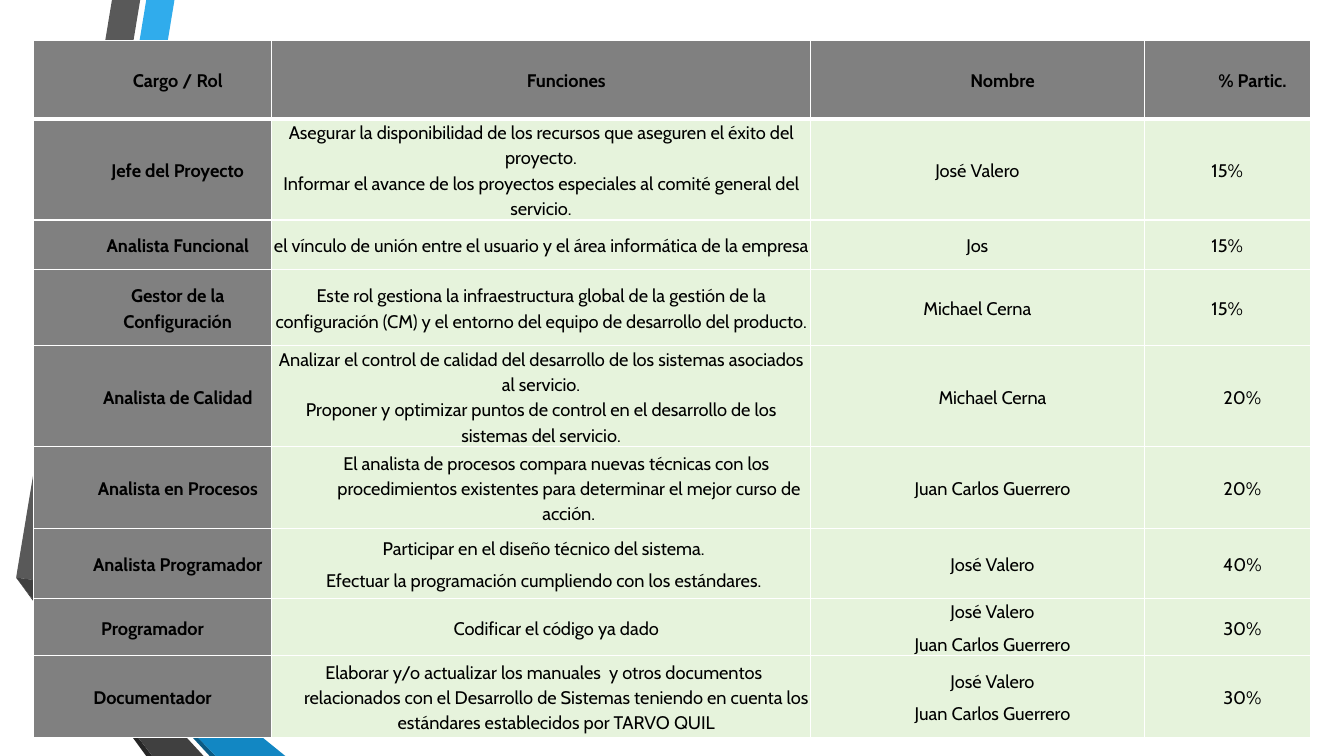
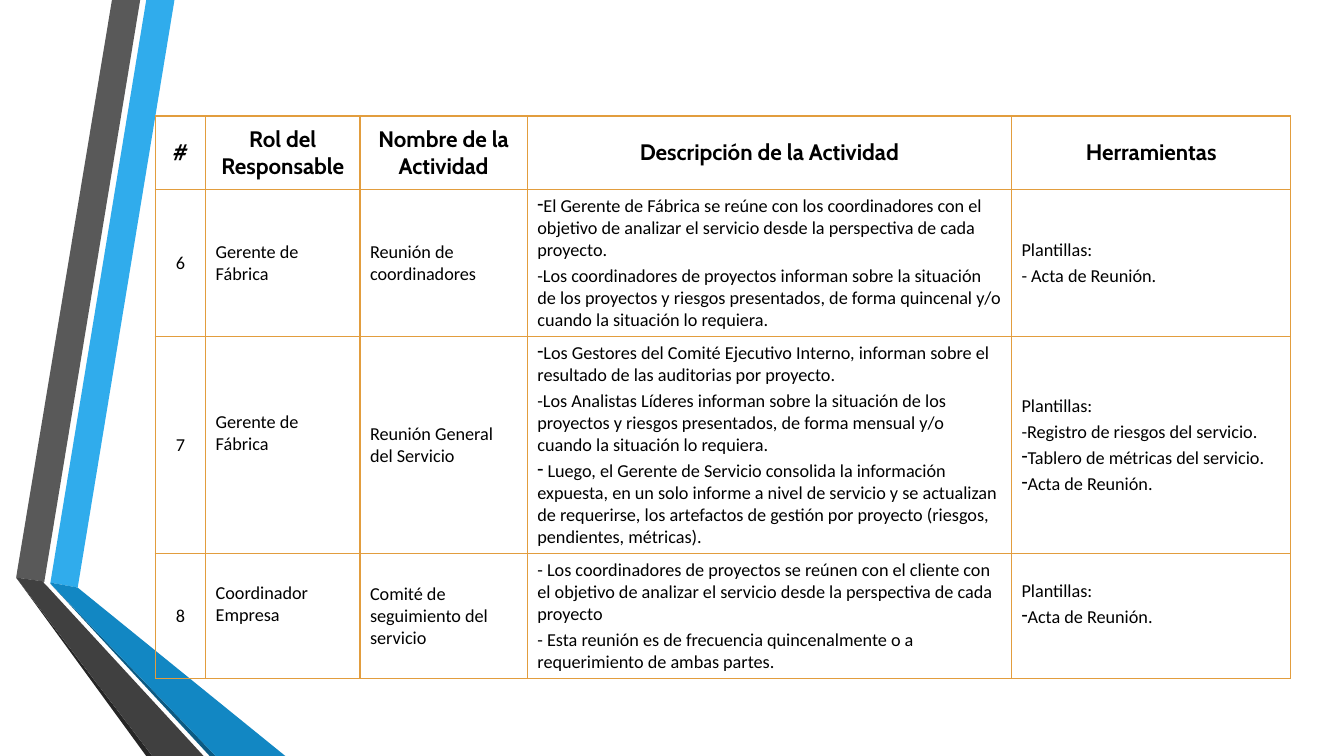
from dataclasses import asdict, dataclass, replace
from typing import NamedTuple

from lxml.etree import SubElement
from pptx import Presentation
from pptx.dml.color import RGBColor
from pptx.enum.text import MSO_ANCHOR, PP_ALIGN
from pptx.oxml.ns import qn
from pptx.util import Inches, Pt

WIDTH, HEIGHT = Inches(13.33), Inches(7.5)


@dataclass(frozen=True)
class Theme:
    text: str = "000000"
    label_fill: str = "808080"
    body_fill: str = "E6F3DC"
    role_border: str = "FFFFFF"
    activity_border: str = "E29D3E"
    blue: str = "30ACEC"
    blue_fold: str = "1287C3"
    blue_edge: str = "0C5A82"
    grey: str = "595959"
    grey_fold: str = "404040"
    grey_edge: str = "262626"
    heading_font: str = "Cabin"
    body_font: str = "Calibri"
    heading_size: float = 16
    body_size: float = 13


THEME = Theme()


@dataclass(frozen=True)
class TextStyle:
    """Spacing is in points, indents in inches."""
    font: str = THEME.heading_font
    size: float = THEME.body_size
    bold: bool = False
    align: PP_ALIGN = PP_ALIGN.CENTER
    line_spacing: float = 1.15
    before: float = 2.4
    after: float = 2.4
    indent: float = 0
    first_line: float = 0


CENTERED = TextStyle()
LABEL = replace(CENTERED, bold=True, indent=0.5)
TIGHT = replace(CENTERED, before=0, after=0)
SPACED = replace(CENTERED, before=0, after=10)
SPACED_LABEL = replace(SPACED, bold=True)
HANGING = replace(CENTERED, indent=0.55, first_line=-0.25)
SHORT_HANGING = replace(HANGING, indent=0.3)

HEADING = TextStyle(size=THEME.heading_size, bold=True, line_spacing=1,
                    before=THEME.heading_size * 0.2, after=0)
NUMBER = replace(HEADING, font=THEME.body_font, size=THEME.body_size,
                 bold=False, before=THEME.body_size * 0.2)
DETAIL = replace(NUMBER, align=PP_ALIGN.LEFT)


class Line(NamedTuple):
    text: str
    dashed: bool = False


class Entry(NamedTuple):
    """Content of one table cell; lift is extra bottom inset in inches."""
    lines: tuple[Line, ...]
    style: TextStyle
    fill: str | None = None
    lift: float = 0


class Band(NamedTuple):
    """Outline points are percentages of the slide's width and height."""
    color: str
    points: tuple[tuple[float, float], ...]


class Grid(NamedTuple):
    """Box is in percent of the slide; columns and rows are relative weights."""
    box: tuple[float, float, float, float]
    columns: tuple[float, ...]
    rows: tuple[float, ...]
    border: str
    header_rule: float
    insets: tuple[float, float]


BANDS = (
    Band(THEME.blue, ((3.75, 77.07), (5.78, 77.73), (12.98, 0), (10.88, 0))),
    Band(THEME.grey, ((10.43, 0), (8.33, 0), (1.2, 76.4), (3.3, 76.93))),
    Band(THEME.grey_edge, ((1.2, 76.4), (10.88, 100), (11.33, 100))),
    Band(THEME.blue_edge, ((3.75, 77.2), (15.6, 100), (16.05, 100))),
    Band(THEME.blue_fold, ((3.75, 77.07), (3.75, 77.2), (16.05, 100),
                           (21.23, 100), (5.78, 77.73))),
    Band(THEME.grey_fold, ((15.15, 100), (3.6, 77.73), (3.23, 77.07),
                           (3.3, 76.93), (1.2, 76.4), (11.33, 100))),
)

ROLE_GRID = Grid((2.5, 5.4, 95, 91.85), (2.36, 5.35, 3.31, 1.65),
                 (0.77, 1, 0.49, 0.75, 1, 0.81, 0.69, 0.55, 0.81),
                 THEME.role_border, 3, (0.02, 0))
ACTIVITY_GRID = Grid((11.55, 15.35, 84.5, 74.4), (0.5, 1.53, 1.66, 4.8, 2.77),
                     (0.73, 1.46, 2.15, 1.24), THEME.activity_border, 1, (0.1, 0.05))


def entry(*texts: str | Line, style: TextStyle, fill: str | None = None,
          lift: float = 0) -> Entry:
    lines = tuple(Line(text) if isinstance(text, str) else text for text in texts)
    return Entry(lines, style, fill, lift)


def role_row(role: str, duties: tuple[str, ...], people: tuple[str, ...], share: str,
             role_style: TextStyle = LABEL, duty_style: TextStyle = HANGING,
             person_style: TextStyle = HANGING) -> list[Entry]:
    body = THEME.body_fill
    return [entry(role, style=role_style, fill=THEME.label_fill),
            entry(*duties, style=duty_style, fill=body),
            entry(*people, style=person_style, fill=body),
            entry(share, style=person_style, fill=body)]


def activity_row(number: str, role: str, activity: str, steps: tuple[str | Line, ...],
                 tools: tuple[str | Line, ...], role_lift: float = 0,
                 tools_lift: float = 0) -> list[Entry]:
    return [entry(number, style=NUMBER),
            entry(role, style=DETAIL, lift=role_lift),
            entry(activity, style=DETAIL),
            entry(*steps, style=DETAIL),
            entry("Plantillas:", *tools, style=DETAIL, lift=tools_lift)]


ROLES = [
    [entry(title, style=LABEL, fill=THEME.label_fill)
     for title in ("Cargo / Rol", "Funciones", "Nombre", "% Partic.")],
    role_row("Jefe del Proyecto",
             ("Asegurar la disponibilidad de los recursos que aseguren el éxito del proyecto.",
              "Informar el avance de los proyectos especiales al comité general del servicio."),
             ("José Valero",), "15%", duty_style=TIGHT, person_style=CENTERED),
    role_row("Analista Funcional",
             ("el vínculo de unión entre el usuario y el área informática de la empresa",),
             ("Jos",), "15%", duty_style=SPACED, person_style=CENTERED),
    role_row("Gestor de la Configuración",
             ("Este rol gestiona la infraestructura global de la gestión de la configuración "
              "(CM) y el entorno del equipo de desarrollo del producto.",),
             ("Michael Cerna",), "15%", duty_style=SPACED, person_style=CENTERED),
    role_row("Analista de Calidad",
             ("Analizar el control de calidad del desarrollo de los sistemas asociados "
              "al servicio.",
              "Proponer y optimizar puntos de control en el desarrollo de los sistemas "
              "del servicio."),
             ("Michael Cerna",), "20%", duty_style=TIGHT),
    role_row("Analista en Procesos",
             ("El analista de procesos compara nuevas técnicas con los procedimientos "
              "existentes para determinar el mejor curso de acción.",),
             ("Juan Carlos Guerrero",), "20%"),
    role_row("Analista Programador",
             ("Participar en el diseño técnico del sistema.",
              "Efectuar la programación cumpliendo con los estándares."),
             ("José Valero",), "40%", duty_style=SHORT_HANGING),
    role_row("Programador", ("Codificar el código ya dado",),
             ("José Valero", "Juan Carlos Guerrero"), "30%", role_style=SPACED_LABEL),
    role_row("Documentador",
             ("Elaborar y/o actualizar los manuales  y otros documentos relacionados con el "
              "Desarrollo de Sistemas teniendo en cuenta los estándares establecidos por "
              "TARVO QUIL",),
             ("José Valero", "Juan Carlos Guerrero"), "30%",
             role_style=SPACED_LABEL, duty_style=SHORT_HANGING),
]

MINUTES = Line("Acta de Reunión.", dashed=True)
ACTIVITIES = [
    [entry(title, style=HEADING)
     for title in ("#", "Rol del Responsable", "Nombre de la Actividad",
                   "Descripción de la Actividad", "Herramientas")],
    activity_row("6", "Gerente de Fábrica", "Reunión de coordinadores",
                 (Line("El Gerente de Fábrica se reúne con los coordinadores con el objetivo "
                       "de analizar el servicio desde la perspectiva de cada proyecto.", True),
                  "-Los coordinadores de proyectos informan sobre la situación de los "
                  "proyectos y riesgos presentados, de forma quincenal y/o cuando la "
                  "situación lo requiera."),
                 ("- Acta de Reunión.",)),
    activity_row("7", "Gerente de Fábrica", "Reunión General del Servicio",
                 (Line("Los Gestores del Comité Ejecutivo Interno, informan sobre el resultado "
                       "de las auditorias por proyecto.", True),
                  "-Los Analistas Líderes informan sobre la situación de los proyectos y "
                  "riesgos presentados, de forma mensual y/o cuando la situación lo requiera.",
                  Line(" Luego, el Gerente de Servicio consolida la información expuesta, en "
                       "un solo informe a nivel de servicio y se actualizan de requerirse, los "
                       "artefactos de gestión por proyecto (riesgos, pendientes, métricas).",
                       True)),
                 ("-Registro de riesgos del servicio.",
                  Line("Tablero de métricas del servicio.", True), MINUTES),
                 role_lift=0.24),
    activity_row("8", "Coordinador Empresa", "Comité de seguimiento del servicio",
                 ("- Los coordinadores de proyectos se reúnen con el cliente con el objetivo "
                  "de analizar el servicio desde la perspectiva de cada proyecto",
                  "- Esta reunión es de frecuencia quincenalmente o a requerimiento de ambas "
                  "partes."),
                 (MINUTES,), role_lift=0.24, tools_lift=0.24),
]


def write_text(frame, lines: tuple[Line, ...], *, font: str, size: float, bold: bool,
               align: PP_ALIGN, line_spacing: float, before: float, after: float,
               indent: float, first_line: float) -> None:
    for index, line in enumerate(lines):
        paragraph = frame.add_paragraph() if index else frame.paragraphs[0]
        paragraph.alignment = align
        paragraph.line_spacing = line_spacing
        paragraph.space_before, paragraph.space_after = Pt(before), Pt(after)
        properties = paragraph._p.get_or_add_pPr()
        properties.set("marL", str(Inches(indent)))
        properties.set("indent", str(Inches(first_line)))
        if line.dashed:
            SubElement(properties, qn("a:buChar")).set("char", "-")
        run = paragraph.add_run()
        run.text = line.text
        run.font.name, run.font.size, run.font.bold = font, Pt(size), bold
        run.font.color.rgb = RGBColor.from_string(THEME.text)


def set_borders(cell, color: str, bottom: float) -> None:
    properties = cell._tc.get_or_add_tcPr()
    for side, points in (("L", 1), ("R", 1), ("T", 1), ("B", bottom)):
        edge = SubElement(properties, qn(f"a:ln{side}"))
        edge.set("w", str(Pt(points)))
        SubElement(SubElement(edge, qn("a:solidFill")), qn("a:srgbClr")).set("val", color)


def fill_cell(cell, content: Entry, grid: Grid, bottom: float) -> None:
    side, vertical = grid.insets
    cell.margin_left = cell.margin_right = Inches(side)
    cell.margin_top = Inches(vertical)
    cell.margin_bottom = Inches(vertical + content.lift)
    cell.vertical_anchor = MSO_ANCHOR.MIDDLE
    set_borders(cell, grid.border, bottom)
    if content.fill:
        cell.fill.solid()
        cell.fill.fore_color.rgb = RGBColor.from_string(content.fill)
    else:
        cell.fill.background()
    write_text(cell.text_frame, content.lines, **asdict(content.style))


def draw_table(slide, grid: Grid, entries: list[list[Entry]]) -> None:
    left, top, width, height = (int(share / 100 * whole) for share, whole
                                in zip(grid.box, (WIDTH, HEIGHT) * 2))
    table = slide.shapes.add_table(len(grid.rows), len(grid.columns),
                                   left, top, width, height).table
    table.horz_banding = False
    for column, weight in zip(table.columns, grid.columns):
        column.width = int(width * weight / sum(grid.columns))
    for row, weight in zip(table.rows, grid.rows):
        row.height = int(height * weight / sum(grid.rows))
    for r, row_entries in enumerate(entries):
        for c, content in enumerate(row_entries):
            fill_cell(table.cell(r, c), content, grid, 1 if r else grid.header_rule)


def add_bands_to_layout(slide) -> None:
    """Build the folded bands on a slide, then move them to its layout."""
    for band in BANDS:
        corners = [(x / 100 * WIDTH, y / 100 * HEIGHT) for x, y in band.points]
        outline = slide.shapes.build_freeform(*corners[0])
        outline.add_line_segments(corners[1:], close=True)
        shape = outline.convert_to_shape()
        shape.shadow.inherit = False
        shape.fill.solid()
        shape.fill.fore_color.rgb = RGBColor.from_string(band.color)
        shape.line.fill.background()
        slide.slide_layout.element.cSld.spTree.append(shape.element)


def main() -> None:
    deck = Presentation()
    deck.slide_width, deck.slide_height = WIDTH, HEIGHT
    blank = deck.slide_layouts[6]
    roles, activities = (deck.slides.add_slide(blank) for _ in range(2))
    add_bands_to_layout(roles)
    draw_table(roles, ROLE_GRID, ROLES)
    draw_table(activities, ACTIVITY_GRID, ACTIVITIES)
    deck.save("out.pptx")


if __name__ == "__main__":
    main()
